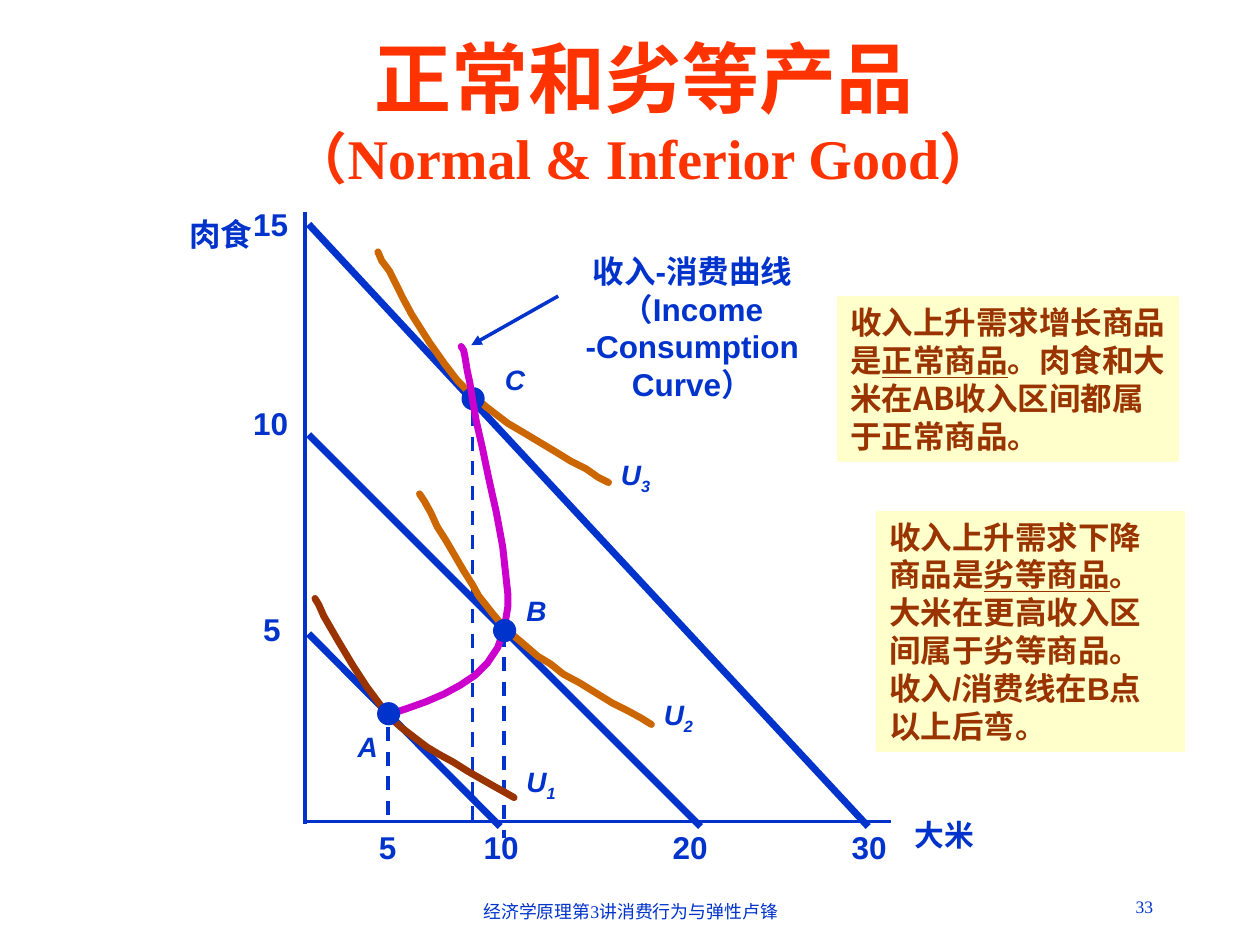
from dataclasses import dataclass

import pptx
import pptx.dml.color
import pptx.enum.dml
import pptx.enum.shapes
import pptx.enum.text
import pptx.oxml.ns
import pptx.util
from lxml import etree

COLORS = {"blue": "0033CC", "red": "FF3300", "orange": "CC6600",
          "brown": "993300", "magenta": "CC00CC", "cream": "FFFFCC"}
COLUMNS, ROWS = 1000, 750
CELL = pptx.util.Inches(10) // COLUMNS
CJK = "Noto Sans CJK SC"
ALIGN = pptx.enum.text.PP_ALIGN
SHAPES = pptx.enum.shapes.MSO_SHAPE


@dataclass
class Label:
    col: float
    row: float
    cols: float
    rows: float
    lines: tuple[str, ...]
    size: float = 18
    color: str = "blue"
    font: str = "Arial"
    align: ALIGN = ALIGN.LEFT
    bold: bool = True
    italic: bool = False
    wrap: bool = False
    fill: str = ""


@dataclass
class Segment:
    start: tuple[float, float]
    end: tuple[float, float]
    width: float = 2
    dashed: bool = False
    arrow: bool = False


@dataclass
class Curve:
    color: str
    points: tuple[tuple[float, float], ...]


def rgb(name: str) -> pptx.dml.color.RGBColor:
    return pptx.dml.color.RGBColor.from_string(COLORS[name])


def cells(*lengths: float) -> list[int]:
    return [round(length * CELL) for length in lengths]


def draw_shape(page, kind, area: tuple[float, ...], color: str):
    shape = page.shapes.add_shape(kind, *cells(*area))
    shape.shadow.inherit = False
    shape.fill.solid()
    shape.fill.fore_color.rgb = rgb(color)
    shape.line.color.rgb = rgb(color)
    shape.line.width = pptx.util.Pt(1)
    return shape


def style_span(span, label: Label, accent: bool) -> None:
    span.font.size = pptx.util.Pt(label.size)
    span.font.name = label.font
    span.font.bold = label.bold
    span.font.italic = label.italic
    span.font.color.rgb = rgb(label.color)
    properties = span._r.get_or_add_rPr()
    east_asian = etree.SubElement(properties, pptx.oxml.ns.qn("a:ea"))
    east_asian.set("typeface", CJK)
    if accent and label.italic:
        properties.set("baseline", "-25000")
    elif accent:
        span.font.underline = True


def draw_label(page, label: Label):
    area = (label.col, label.row, label.cols, label.rows)
    if label.fill:
        box = draw_shape(page, SHAPES.RECTANGLE, area, label.fill)
    else:
        box = page.shapes.add_textbox(*cells(*area))
    frame = box.text_frame
    frame.word_wrap = label.wrap
    frame.vertical_anchor = pptx.enum.text.MSO_ANCHOR.TOP
    if not label.wrap:
        frame.auto_size = pptx.enum.text.MSO_AUTO_SIZE.SHAPE_TO_FIT_TEXT
    for index, line in enumerate(label.lines):
        para = frame.add_paragraph() if index else frame.paragraphs[0]
        para.alignment = label.align
        first, *rest = line.split("_")
        para.text = first
        for part in rest:
            para.add_run().text = part
        for position, span in enumerate(para.runs):
            style_span(span, label, bool(rest) and position == 1)
    return box


def draw_segment(page, segment: Segment) -> None:
    line = page.shapes.add_connector(pptx.enum.shapes.MSO_CONNECTOR.STRAIGHT,
                                     *cells(*segment.start, *segment.end))
    line.line.color.rgb = rgb("blue")
    line.line.width = pptx.util.Pt(segment.width)
    if segment.dashed:
        line.line.dash_style = pptx.enum.dml.MSO_LINE.DASH
    if segment.arrow:
        tail = etree.SubElement(line.line._get_or_add_ln(), pptx.oxml.ns.qn("a:tailEnd"))
        tail.set("type", "triangle")
    etree.SubElement(line._element.spPr, pptx.oxml.ns.qn("a:effectLst"))


def draw_curve(page, curve: Curve) -> None:
    builder = page.shapes.build_freeform(*curve.points[0], scale=CELL)
    builder.add_line_segments(curve.points[1:], close=False)
    shape = builder.convert_to_shape()
    shape.shadow.inherit = False
    shape.fill.background()
    shape.line.color.rgb = rgb(curve.color)
    shape.line.width = pptx.util.Pt(4)
    outline = shape.line._get_or_add_ln()
    outline.set("cap", "rnd")
    etree.SubElement(outline, pptx.oxml.ns.qn("a:round"))


def draw_dot(page, center: tuple[float, float]) -> None:
    diameter = 17
    col, row = (value - diameter / 2 for value in center)
    draw_shape(page, SHAPES.OVAL, (col, row, diameter, diameter), "blue")


TITLE = Label(83, 17, 856, 139, ("正常和劣等产品\v（Normal & Inferior Good）",), 44, "red",
              "Times New Roman", ALIGN.CENTER, wrap=True)
POINT_A, POINT_B, POINT_C = (308.5, 566.5), (400.5, 500.5), (375.5, 316.5)
SEGMENTS = [
    Segment((242, 168), (242, 654)),
    Segment((243, 652), (707, 652)),
    Segment((245, 178), (689, 656), 4),
    Segment((245, 345), (556, 656), 4),
    Segment((245, 503), (397, 656), 4),
    Segment((308, 577), (308, 653), dashed=True),
    Segment((400, 502), (400, 665), dashed=True),
    Segment((375, 327), (375, 657), dashed=True),
    Segment((443, 235), (374, 274), arrow=True),
]
INDIFFERENCE = [
    Curve("orange", (
        (300, 200), (303, 207), (309, 215), (320, 237), (327, 250), (341, 272), (353, 289),
        (363, 302), (373, 312), (386, 323), (403, 336), (415, 343), (440, 358), (453, 366),
        (465, 372), (475, 379), (483, 383))),
    Curve("orange", (
        (333, 392), (337, 398), (342, 407), (347, 418), (354, 429), (368, 453), (375, 464),
        (380, 473), (391, 487), (401, 499), (413, 509), (427, 521), (437, 527), (447, 535),
        (460, 542), (486, 558), (498, 564), (509, 570), (517, 575))),
    Curve("brown", (
        (250, 475), (253, 480), (257, 489), (268, 508), (280, 528), (291, 545), (300, 557),
        (308, 568), (318, 577), (331, 587), (339, 593), (349, 599), (360, 605), (371, 612),
        (392, 624), (401, 629), (408, 633))),
]
INCOME = Curve("magenta", (
    (309, 567), (324, 562), (338, 557), (352, 551), (365, 544), (377, 536), (387, 526),
    (395, 514), (400, 500), (403, 482), (403, 471), (399, 434), (394, 407), (388, 380),
    (383, 356), (378, 334), (375, 317), (373, 304), (371, 295), (369, 283), (368, 278),
    (366, 275)))
TICKS = [Label(col, row, 34 if text == "5" else 48, 40, (text,)) for text, col, row in (
    ("15", 191, 158), ("10", 191, 316), ("5", 199, 479),
    ("5", 291, 652), ("10", 374, 652), ("20", 524, 652), ("30", 666, 652))]
NAMES = [Label(col, row, 43 if "_" in text else 36, 40 if "_" in text else 36, (text,), 16,
               italic=True) for text, col, row in (
    ("A", 274, 574), ("B", 408, 466), ("C", 391, 283),
    ("U_1", 408, 602), ("U_2", 517, 549), ("U_3", 483, 358))]
TEXTS = [
    Label(342, 710, 317, 28, ("经济学原理第3讲消费行为与弹性卢锋",), 10.2, "blue",
          "Times New Roman", ALIGN.CENTER, bold=False, wrap=True),
    Label(717, 706, 208, 28, ("33",), 10, "blue", "Times New Roman", ALIGN.RIGHT,
          bold=False, wrap=True),
    Label(716, 643, 67, 38, ("大米",), 17),
    Label(140, 166, 70, 40, ("肉食",), align=ALIGN.RIGHT),
    Label(451, 195, 197, 130, ("收入-消费曲线", "（Income", "-Consumption", "Curve）"),
          align=ALIGN.CENTER),
    Label(696, 406, 244, 190, (
        "收入上升需求下降", "商品是_劣等商品_。", "大米在更高收入区",
        "间属于劣等商品。", "收入/消费线在B点", "以上后弯。"), color="brown", fill="cream"),
    Label(665, 236, 270, 130, (
        "收入上升需求增长商品", "是_正常商品_。肉食和大", "米在AB收入区间都属",
        "于正常商品。"), color="brown", font=CJK, fill="cream"),
]


def main() -> None:
    deck = pptx.Presentation()
    deck.slide_width, deck.slide_height = cells(COLUMNS, ROWS)
    page = deck.slides.add_slide(deck.slide_layouts[6])
    title = draw_label(page, TITLE).text_frame
    title.vertical_anchor = pptx.enum.text.MSO_ANCHOR.BOTTOM
    title.paragraphs[0].runs[1].font.size = pptx.util.Pt(32)
    for segment in SEGMENTS:
        draw_segment(page, segment)
    for curve in INDIFFERENCE:
        draw_curve(page, curve)
    draw_dot(page, POINT_C)
    draw_curve(page, INCOME)
    for point in (POINT_A, POINT_B):
        draw_dot(page, point)
    for label in TICKS + NAMES + TEXTS:
        draw_label(page, label)
    deck.save("out.pptx")


if __name__ == "__main__":
    main()
